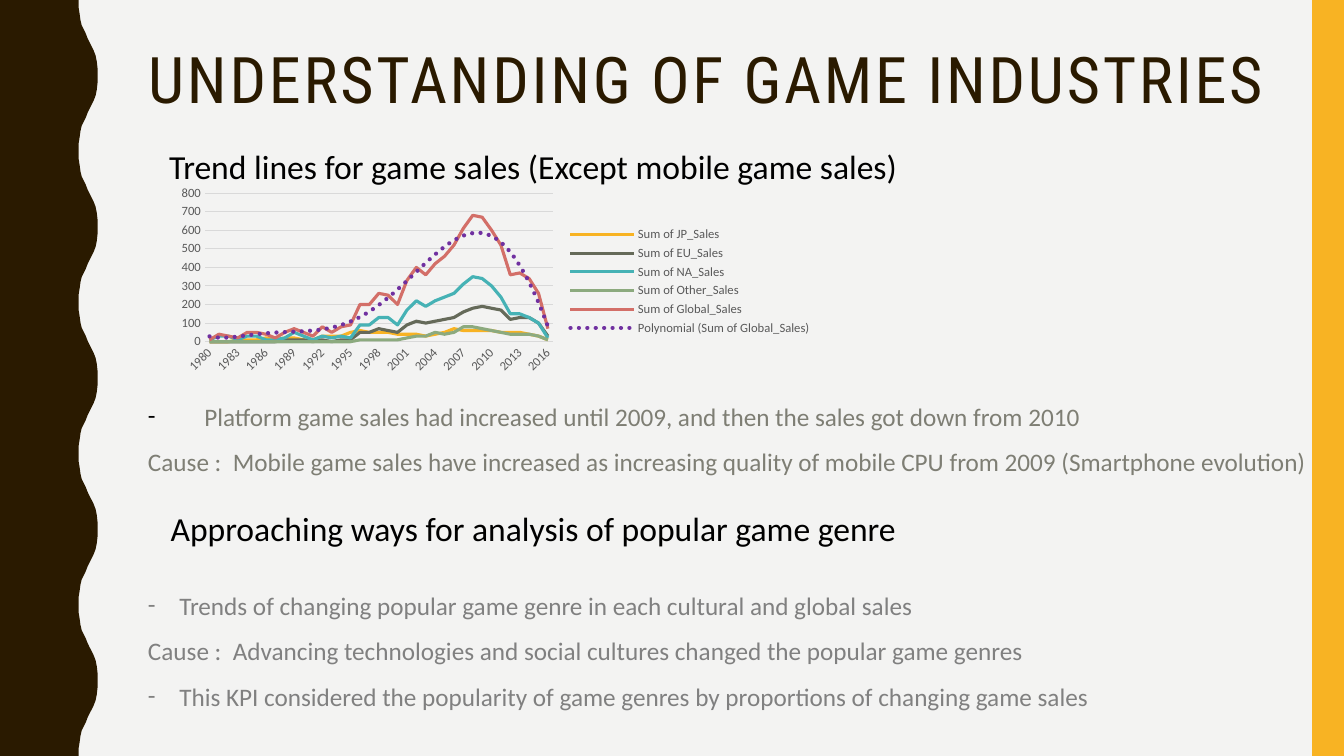
from lxml import etree
from pptx import Presentation
from pptx.chart.data import CategoryChartData
from pptx.dml.color import RGBColor
from pptx.enum.chart import XL_CHART_TYPE, XL_LEGEND_POSITION, XL_MARKER_STYLE, XL_TICK_MARK
from pptx.enum.shapes import MSO_SHAPE
from pptx.enum.text import MSO_ANCHOR, MSO_AUTO_SIZE, PP_ALIGN
from pptx.oxml import parse_xml
from pptx.oxml.ns import nsdecls, qn
from pptx.util import Cm, Pt

LINE_CHART = XL_CHART_TYPE.LINE
LEGEND_RIGHT = XL_LEGEND_POSITION.RIGHT
NO_MARKER = XL_MARKER_STYLE.NONE
NO_TICK = XL_TICK_MARK.NONE
RECTANGLE = MSO_SHAPE.RECTANGLE
TOP = MSO_ANCHOR.TOP
NO_AUTOFIT = MSO_AUTO_SIZE.NONE
LEFT = PP_ALIGN.LEFT

BODY_FONT = "Calibri"
TITLE_FONT = "Roboto Condensed"
BROWN, GOLD, PAPER = "2A1A00", "F8B323", "F3F3F2"
BLACK, OLIVE, GRAY = "000000", "7E7E74", "808080"
AXIS_TEXT, GRID, PURPLE = "595959", "D9D9D9", "7030A0"

SLIDE_WIDTH, SLIDE_HEIGHT = 33.87, 19.05
WAVE_COUNT = 5
HALF_WAVE = [
    (1.98, 0), (1.98, 0.18), (2.01, 0.36), (2.03, 0.51), (2.06, 0.64),
    (2.11, 0.74), (2.16, 0.84), (2.21, 0.97), (2.26, 1.07), (2.31, 1.17),
    (2.36, 1.27), (2.41, 1.4), (2.44, 1.55), (2.46, 1.73), (2.46, 1.9),
]

YEARS = [str(year) for year in range(1980, 2017)]
SALES = [
    ("Sum of JP_Sales", GOLD,
     [0, 0, 0, 10, 10, 10, 20, 10, 20, 20, 10, 10, 30, 30, 30, 50, 60, 50, 50, 50, 40, 40, 40,
      30, 40, 50, 70, 60, 60, 60, 60, 50, 50, 50, 40, 30, 10]),
    ("Sum of EU_Sales", "656A59",
     [0, 0, 0, 0, 0, 0, 0, 0, 10, 10, 10, 0, 10, 0, 10, 10, 50, 50, 70, 60, 50, 90, 110,
      100, 110, 120, 130, 160, 180, 190, 180, 170, 120, 130, 130, 100, 30]),
    ("Sum of NA_Sales", "46B2B5",
     [10, 30, 30, 10, 30, 30, 10, 10, 20, 50, 30, 10, 30, 20, 30, 20, 90, 90, 130, 130, 90,
      170, 220, 190, 220, 240, 260, 310, 350, 340, 300, 240, 150, 150, 130, 100, 20]),
    ("Sum of Other_Sales", "8CAA7E",
     [0, 0, 0, 0, 0, 0, 0, 0, 0, 0, 0, 0, 0, 0, 0, 0, 10, 10, 10, 10, 10, 20, 30,
      30, 50, 40, 50, 80, 80, 70, 60, 50, 40, 40, 40, 30, 10]),
    ("Sum of Global_Sales", "D36F68",
     [10, 40, 30, 20, 50, 50, 40, 20, 50, 70, 50, 30, 80, 50, 80, 90, 200, 200, 260, 250, 200,
      330, 400, 360, 420, 460, 520, 610, 680, 670, 600, 520, 360, 370, 340, 260, 70]),
]


def color(value):
    return RGBColor.from_string(value)


def set_font(font, size, value, name=BODY_FONT):
    font.size = Pt(size)
    font.name = name
    font.color.rgb = color(value)


def fill_plain(shape, value):
    """Give the shape a flat fill without line or shadow."""
    shape.fill.solid()
    shape.fill.fore_color.rgb = color(value)
    shape.line.fill.background()
    shape.shadow.inherit = False


def add_wavy_band(slide):
    period = SLIDE_HEIGHT / WAVE_COUNT
    wave = HALF_WAVE + [(x, period - y) for x, y in reversed(HALF_WAVE)]
    edge = [(x, y + period * index) for index in range(WAVE_COUNT) for x, y in wave]
    outline = edge + [(0, SLIDE_HEIGHT)]
    builder = slide.shapes.build_freeform(0, 0)
    builder.add_line_segments([(Cm(x), Cm(y)) for x, y in outline], close=True)
    fill_plain(builder.convert_to_shape(), BROWN)


def add_side_bar(slide):
    bar = slide.shapes.add_shape(RECTANGLE, Cm(33.07), 0, Cm(0.8), Cm(SLIDE_HEIGHT))
    fill_plain(bar, GOLD)


def set_title(slide, text):
    title = slide.shapes.title
    title.left, title.top, title.width, title.height = Cm(3.48), Cm(1.07), Cm(28.98), Cm(2.36)
    frame = title.text_frame
    frame.text = text
    frame.auto_size = NO_AUTOFIT
    frame.vertical_anchor = TOP
    paragraph = frame.paragraphs[0]
    paragraph.alignment = LEFT
    paragraph.line_spacing = 0.9
    set_font(paragraph.font, 45.9, BROWN, TITLE_FONT)
    paragraph.runs[0].font._element.set("spc", "200")


def add_trend_line(series):
    trend_line = parse_xml(
        f'<c:trendline {nsdecls("c", "a")}><c:spPr><a:ln w="{Pt(3)}" cap="rnd">'
        f'<a:solidFill><a:srgbClr val="{PURPLE}"/></a:solidFill><a:prstDash val="sysDot"/>'
        '</a:ln></c:spPr><c:trendlineType val="poly"/><c:order val="6"/>'
        '<c:dispRSqr val="0"/><c:dispEq val="0"/></c:trendline>')
    series._element.find(qn("c:cat")).addprevious(trend_line)


def set_plot_area(chart, **fractions):
    """Fix the inner plot area as fractions of the chart."""
    plot_area = chart._chartSpace.find(f".//{qn('c:plotArea')}")
    layout = plot_area.find(qn("c:layout"))
    if layout is None:
        layout = parse_xml(f'<c:layout {nsdecls("c")}/>')
        plot_area.insert(0, layout)
    manual = etree.SubElement(layout, qn("c:manualLayout"))
    settings = {"layoutTarget": "inner", "xMode": "edge", "yMode": "edge", **fractions}
    for name, value in settings.items():
        etree.SubElement(manual, qn(f"c:{name}")).set("val", str(value))


def format_axes(chart):
    for axis in (chart.category_axis, chart.value_axis):
        axis.major_tick_mark = axis.minor_tick_mark = NO_TICK
        set_font(axis.tick_labels.font, 9, AXIS_TEXT)
    years, sales = chart.category_axis, chart.value_axis
    sales.minimum_scale, sales.maximum_scale, sales.major_unit = 0, 800, 100
    sales.format.line.fill.background()
    for line in (years.format.line, sales.major_gridlines.format.line):
        line.color.rgb = color(GRID)
        line.width = Pt(0.75)
    years._element.find(f"{qn('c:txPr')}/{qn('a:bodyPr')}").set("rot", "-2700000")
    skip = parse_xml(f'<c:tickLblSkip {nsdecls("c")} val="3"/>')
    years._element.find(qn("c:noMultiLvlLbl")).addprevious(skip)


def add_sales_chart(slide):
    data = CategoryChartData()
    data.categories = YEARS
    for name, _, values in SALES:
        data.add_series(name, values)
    chart = slide.shapes.add_chart(
        LINE_CHART, Cm(4.17), Cm(4.62), Cm(16.54), Cm(4.93), data).chart
    chart.has_title = False
    set_font(chart.font, 10, BLACK)
    chart.has_legend = True
    chart.legend.position = LEGEND_RIGHT
    chart.legend.include_in_layout = False
    set_font(chart.legend.font, 9, AXIS_TEXT)
    plot = chart.plots[0]
    plot.vary_by_categories = False
    for series, (_, line_color, _) in zip(plot.series, SALES):
        series.smooth = False
        series.marker.style = NO_MARKER
        series.format.line.color.rgb = color(line_color)
        series.format.line.width = Pt(2.25)
    add_trend_line(plot.series[-1])
    format_axes(chart)
    set_plot_area(chart, x=0.06, y=0.05, w=0.53, h=0.76)


def add_text_box(slide, left, top, width, height):
    frame = slide.shapes.add_textbox(Cm(left), Cm(top), Cm(width), Cm(height)).text_frame
    frame.word_wrap = True
    return frame


def write_paragraph(paragraph, text, size, value, line_spacing=1.0, space_before=0):
    paragraph.text = text
    paragraph.line_spacing = line_spacing
    paragraph.space_before = Pt(space_before)
    set_font(paragraph.font, size, value)


def set_indent(paragraph, margin, bullet_color=None):
    """Indent the paragraph, hanging it on a dash if a bullet colour is given."""
    properties = paragraph._p.get_or_add_pPr()
    properties.set("marL", str(Cm(margin)))
    if bullet_color:
        properties.set("indent", str(-Cm(margin)))
        bullet = etree.SubElement(properties, qn("a:buClr"))
        etree.SubElement(bullet, qn("a:srgbClr")).set("val", bullet_color)
        etree.SubElement(properties, qn("a:buFont")).set("typeface", BODY_FONT)
        etree.SubElement(properties, qn("a:buChar")).set("char", "-")
        properties.append(properties.find(qn("a:defRPr")))


def add_findings(slide):
    frame = add_text_box(slide, 3.48, 9.6, 29.77, 8.38)
    findings = [
        ("Platform game sales had increased until 2009, and then the sales got down from 2010",
         18, OLIVE, 1.5, 0, 1.42, BLACK),
        ("Cause :  Mobile game sales have increased as increasing quality of mobile CPU "
         "from 2009 (Smartphone evolution)", 18, OLIVE, 1.5, 0, 0, None),
        ("Approaching ways for analysis of popular game genre", 24, BLACK, 1.0, 22, 0.57, None),
        ("Trends of changing popular game genre in each cultural and global sales",
         18, GRAY, 1.5, 19.5, 0.79, GRAY),
        ("Cause :  Advancing technologies and social cultures changed the popular game genres",
         18, GRAY, 1.5, 0, 0, None),
        ("This KPI considered the popularity of game genres by proportions of changing game sales",
         18, GRAY, 1.5, 0, 0.79, GRAY),
    ]
    for index, (text, size, value, spacing, before, margin, bullet) in enumerate(findings):
        paragraph = frame.add_paragraph() if index else frame.paragraphs[0]
        write_paragraph(paragraph, text, size, value, spacing, before)
        set_indent(paragraph, margin, bullet)


def main():
    presentation = Presentation()
    presentation.slide_width, presentation.slide_height = Cm(SLIDE_WIDTH), Cm(SLIDE_HEIGHT)
    slide = presentation.slides.add_slide(presentation.slide_layouts[5])
    slide.background.fill.solid()
    slide.background.fill.fore_color.rgb = color(PAPER)
    add_wavy_band(slide)
    add_side_bar(slide)
    set_title(slide, "UNDERSTANDING OF GAME INDUSTRIES")
    add_sales_chart(slide)
    heading = add_text_box(slide, 4.01, 3.56, 19.28, 1.27).paragraphs[0]
    write_paragraph(heading, "Trend lines for game sales (Except mobile game sales)", 24, BLACK)
    add_findings(slide)
    presentation.save("out.pptx")


if __name__ == "__main__":
    main()
